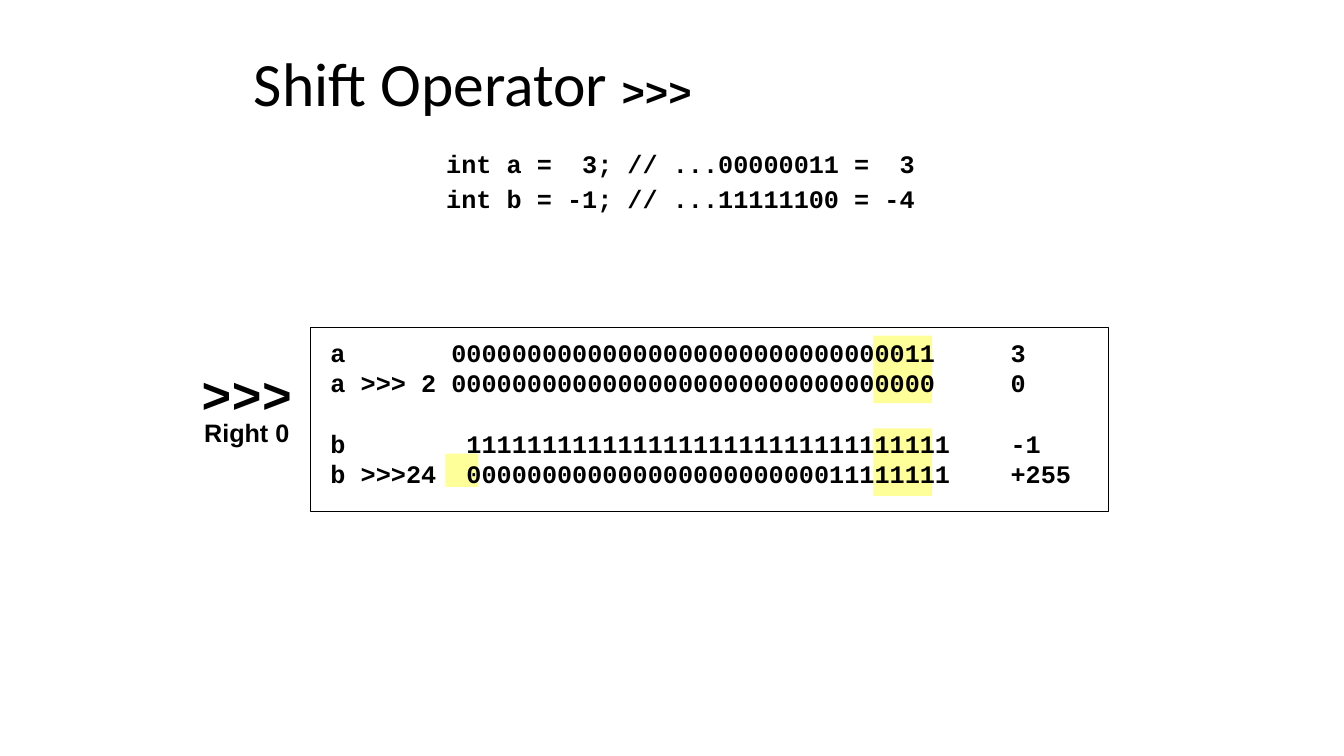
from pptx import Presentation
from pptx.dml.color import RGBColor
from pptx.enum import shapes, text
from pptx.util import Inches, Pt

HUES = {"ink": "000000", "mark": "FFFF99"}
CODE = "Courier New"


def hue(name):
    return RGBColor.from_string(HUES[name])


def style(font, size, face=CODE, bold=True):
    font.size, font.name, font.bold = Pt(size), face, bold
    font.color.rgb = hue("ink")


def add_rect(slide, left, top, width, height):
    rect = slide.shapes.add_shape(
        shapes.MSO_SHAPE.RECTANGLE,
        Inches(left), Inches(top), Inches(width), Inches(height))
    rect.shadow.inherit = False
    return rect


def add_mark(slide, *place):
    mark = add_rect(slide, *place)
    mark.fill.solid()
    mark.fill.fore_color.rgb = hue("mark")
    mark.line.fill.background()


def add_box(slide, left, top, width, height, wrap=True):
    box = slide.shapes.add_textbox(
        Inches(left), Inches(top), Inches(width), Inches(height))
    box.text_frame.word_wrap = wrap
    return box.text_frame


def fill_code(frame, lines, pitch, gaps, hang):
    """Write code lines with the given space before each one."""
    frame.text = "\n".join(lines)
    for para, gap in zip(frame.paragraphs, gaps):
        para.alignment = text.PP_ALIGN.LEFT
        para.line_spacing = pitch
        para.space_before = Pt(gap)
        props = para._p.get_or_add_pPr()
        props.set("marL", str(Inches(hang)))
        props.set("indent", str(-Inches(hang)))
        style(para.font, 18)


def set_title(slide):
    title = slide.shapes.title
    title.left, title.top = Inches(2.42), Inches(0.42)
    title.width, title.height = Inches(8.5), Inches(0.92)
    frame = title.text_frame
    frame.auto_size = text.MSO_AUTO_SIZE.NONE
    frame.vertical_anchor = text.MSO_ANCHOR.MIDDLE
    para = frame.paragraphs[0]
    para.alignment = text.PP_ALIGN.LEFT
    para.line_spacing = 0.8
    for words, size, face, bold in (("Shift Operator ", 44, "Calibri", False),
                                    (">>>", 28, CODE, True)):
        run = para.add_run()
        run.text = words
        style(run.font, size, face, bold)


def add_label(slide):
    frame = add_box(slide, 1.9, 3.67, 1.1, 0.82, wrap=False)
    frame.text = ">>>\nRight 0"
    for para, size, face in zip(frame.paragraphs, (36, 18), (CODE, "Arial")):
        para.alignment = text.PP_ALIGN.CENTER
        para.line_spacing = 0.8
        style(para.font, size, face)


def add_panel(slide):
    panel = add_rect(slide, 3.08, 3.25, 7.92, 1.83)
    panel.fill.background()
    panel.line.color.rgb = hue("ink")
    panel.line.width = Pt(0.75)
    frame = panel.text_frame
    frame.word_wrap = True
    frame.vertical_anchor = text.MSO_ANCHOR.TOP
    frame.margin_left = frame.margin_right = Inches(0.2)
    frame.margin_top = frame.margin_bottom = Inches(0.15)
    fill_code(frame, [
        "a       00000000000000000000000000000011     3",
        "a >>> 2 00000000000000000000000000000000     0",
        "b        11111111111111111111111111111111    -1",
        "b >>>24  00000000000000000000000011111111    +255",
    ], 0.8, (0, 4.5, 26, 4.5), 0.38)


def main():
    deck = Presentation()
    deck.slide_width, deck.slide_height = Inches(13.34), Inches(7.5)
    slide = deck.slides.add_slide(deck.slide_layouts[5])

    # Highlights behind the bits
    for top in (3.33, 4.25):
        add_mark(slide, 8.67, top, 0.58, 0.67)
    add_mark(slide, 4.42, 4.5, 0.33, 0.33)

    # Title and declarations
    set_title(slide)
    fill_code(add_box(slide, 4.33, 1.5, 4.92, 0.67), [
        "int a =  3; // ...00000011 =  3",
        "int b = -1; // ...11111100 = -4",
    ], 0.7, (0, 10), 0.25)

    # Operator label and shift results
    add_label(slide)
    add_panel(slide)
    deck.save("out.pptx")


if __name__ == "__main__":
    main()
